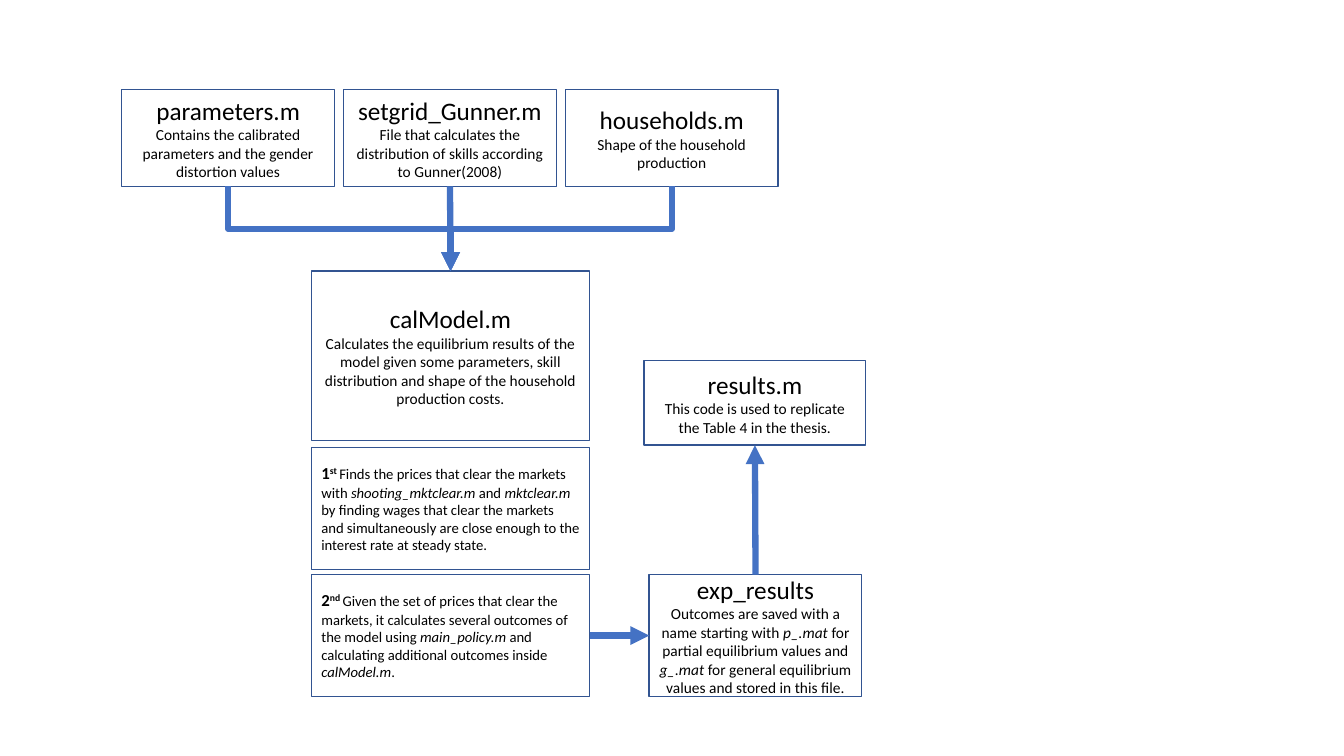
"""Builds a slide that maps how the model's code files feed each other."""
from lxml import etree
from pptx import Presentation
from pptx.dml.color import RGBColor
from pptx.enum.shapes import MSO_CONNECTOR, MSO_SHAPE
from pptx.enum.text import MSO_ANCHOR, PP_ALIGN
from pptx.oxml.ns import qn
from pptx.util import Cm, Pt

RECT = MSO_SHAPE.RECTANGLE
LINE, ELBOW = MSO_CONNECTOR.STRAIGHT, MSO_CONNECTOR.ELBOW
LEFT, CENTER, MIDDLE = PP_ALIGN.LEFT, PP_ALIGN.CENTER, MSO_ANCHOR.MIDDLE
TOP, WEST, BASE, EAST = range(4)

THEME = {
    "font": "Calibri",
    "text": RGBColor(0, 0, 0),
    "edge": RGBColor(0x32, 0x54, 0x91),
    "arrow": RGBColor(0x44, 0x72, 0xC4),
    "title": Pt(18), "body": Pt(11), "step": Pt(10.5), "mark": Pt(12),
    "thin": Pt(1), "thick": Pt(4.5),
}

INPUTS = [
    ("parameters.m", "Contains the calibrated parameters and the gender distortion values"),
    ("setgrid_Gunner.m", "File that calculates the distribution of skills according to Gunner(2008)"),
    ("households.m", "Shape of the household production"),
]
MODEL = ("calModel.m", "Calculates the equilibrium results of the model given some parameters, "
         "skill distribution and shape of the household production costs.")
RESULT = ("results.m", "This code is used to replicate the Table 4 in the thesis.")
EXPORT = ("exp_results", "Outcomes are saved with a name starting with *p_.mat *for partial "
          "equilibrium values and *g_.mat *for general equilibrium values and stored in this file.")
STEPS = [
    ("1", "st ", "Finds the prices that clear the markets with *shooting_mktclear.m *and "
     "*mktclear.m* by finding wages that clear the markets and simultaneously are close "
     "enough to the interest rate at steady state."),
    ("2", "nd ", "Given the set of prices that clear the markets, it calculates several outcomes "
     "of the model using *main_policy.m *and calculating additional outcomes inside *calModel.m*."),
]

INPUT_X, INPUT_Y, INPUT_GAP = 3.07, 2.26, 5.59
CARD_W, INPUT_H = 5.36, 2.44
MODEL_X, MODEL_Y, MODEL_W, MODEL_H = 7.85, 6.83, 7.01, 4.27
STEP_Y, STEP_GAP, STEP_H = 11.28, 3.2, 3.07
EXPORT_X = 16.36
RESULT_BOX = (16.23, 9.09, 5.59, 2.13)


def add_box(slide, *place):
    box = slide.shapes.add_shape(RECT, *map(Cm, place))
    box.shadow.inherit = False
    box.fill.background()
    box.line.color.rgb = THEME["edge"]
    box.line.width = THEME["thin"]
    box.text_frame.word_wrap = True
    box.text_frame.vertical_anchor = MIDDLE
    return box


def style(para, size, align):
    para.alignment = align
    para.font.name = THEME["font"]
    para.font.color.rgb = THEME["text"]
    para.font.size = size


def add_runs(para, text):
    for index, part in enumerate(text.split("*")):
        run = para.add_run()
        run.text = part
        if index % 2:
            run.font.italic = True


def add_card(slide, words, *place):
    box = add_box(slide, *place)
    frame = box.text_frame
    head, body = frame.paragraphs[0], frame.add_paragraph()
    for para, text, size in zip((head, body), words, (THEME["title"], THEME["body"])):
        style(para, size, CENTER)
        add_runs(para, text)
    return box


def add_step(slide, words, *place):
    box = add_box(slide, *place)
    para = box.text_frame.paragraphs[0]
    style(para, THEME["step"], LEFT)
    number, suffix, text = words
    for part in (number, suffix):
        run = para.add_run()
        run.text = part
        run.font.bold = True
        run.font.size = THEME["mark"]
    run.font._element.set("baseline", "30000")
    add_runs(para, text)
    return box


def add_arrow(slide, kind, start, out, end, into):
    arrow = slide.shapes.add_connector(kind, 0, 0, 0, 0)
    arrow.begin_connect(start, out)
    arrow.end_connect(end, into)
    arrow.line.color.rgb = THEME["arrow"]
    arrow.line.width = THEME["thick"]
    etree.SubElement(arrow.line._get_or_add_ln(), qn("a:tailEnd"), type="triangle")
    etree.SubElement(arrow._element.spPr, qn("a:effectLst"))
    return arrow


def turn_down(arrow):
    """Makes an elbow leave and arrive vertically."""
    right = arrow.end_x > arrow.begin_x
    mid_x = (arrow.begin_x + arrow.end_x) // 2
    mid_y = (arrow.begin_y + arrow.end_y) // 2
    wide, high = arrow.height, arrow.width
    frame = arrow._element.spPr.find(qn("a:xfrm"))
    for flip in ("flipH", "flipV"):
        frame.attrib.pop(flip, None)
    frame.set("rot", str((270 if right else 90) * 60000))
    if right:
        frame.set("flipH", "1")
    arrow.left, arrow.top = mid_x - wide // 2, mid_y - high // 2
    arrow.width, arrow.height = wide, high


def main():
    deck = Presentation()
    deck.slide_width, deck.slide_height = Cm(33.87), Cm(19.05)
    slide = deck.slides.add_slide(deck.slide_layouts[6])

    inputs = [add_card(slide, words, INPUT_X + i * INPUT_GAP, INPUT_Y, CARD_W, INPUT_H)
              for i, words in enumerate(INPUTS)]
    model = add_card(slide, MODEL, MODEL_X, MODEL_Y, MODEL_W, MODEL_H)
    steps = [add_step(slide, words, MODEL_X, STEP_Y + i * STEP_GAP, MODEL_W, STEP_H)
             for i, words in enumerate(STEPS)]
    export = add_card(slide, EXPORT, EXPORT_X, STEP_Y + STEP_GAP, CARD_W, STEP_H)
    result = add_card(slide, RESULT, *RESULT_BOX)

    for box, kind in zip(inputs, (ELBOW, LINE, ELBOW)):
        arrow = add_arrow(slide, kind, box, BASE, model, TOP)
        if kind == ELBOW:
            turn_down(arrow)
    add_arrow(slide, LINE, steps[-1], EAST, export, WEST)
    add_arrow(slide, LINE, export, TOP, result, BASE)
    deck.save("out.pptx")


if __name__ == "__main__":
    main()
